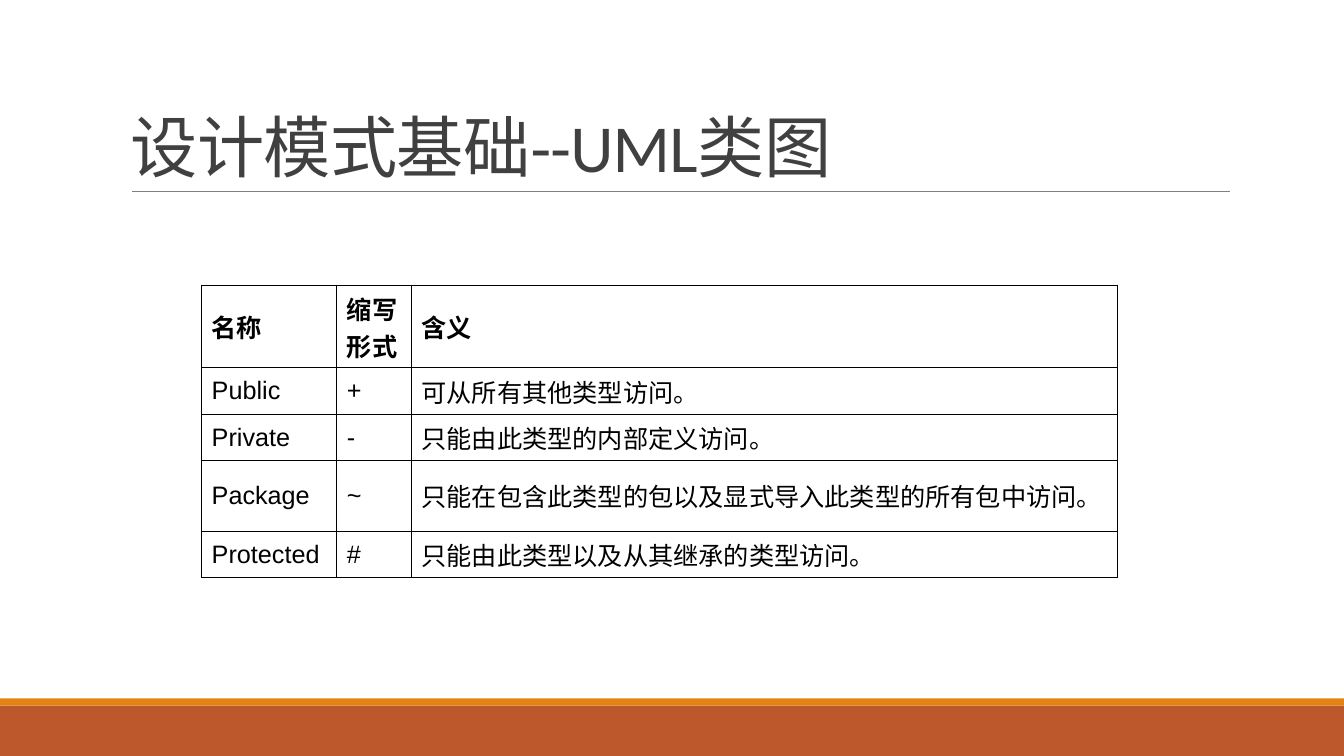
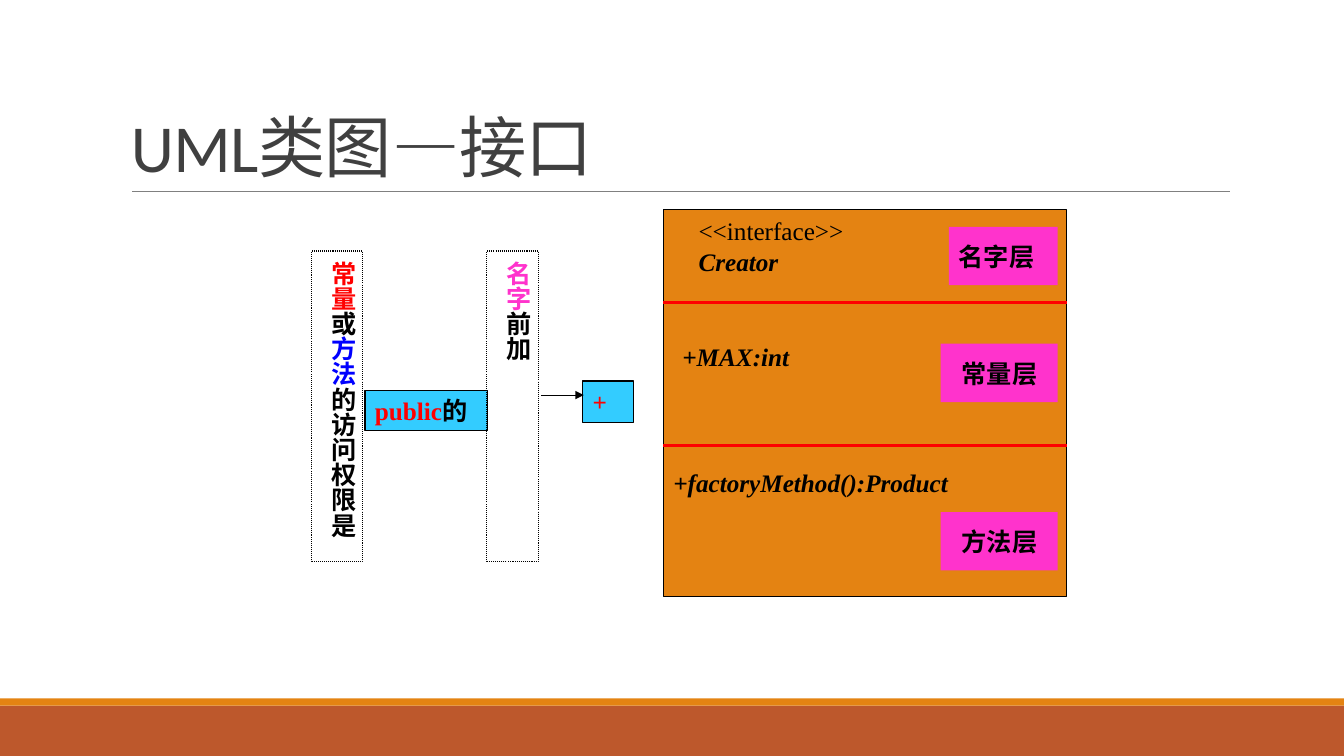
"""Build two slides on UML class diagrams."""
from dataclasses import dataclass
from typing import NamedTuple

from lxml.etree import SubElement
from pptx import Presentation
from pptx.dml.color import RGBColor
from pptx.enum.dml import MSO_LINE
from pptx.enum.shapes import MSO_CONNECTOR, MSO_SHAPE
from pptx.enum.text import MSO_ANCHOR, MSO_AUTO_SIZE, PP_ALIGN
from pptx.oxml.ns import qn
from pptx.slide import Slide
from pptx.table import _Cell
from pptx.text.text import Font, TextFrame
from pptx.util import Inches, Pt

HUES = {
    "black": "000000", "ink": "404040", "gray": "808080", "red": "FF0000",
    "blue": "0000FF", "pink": "FF33CC", "sky": "33CCFF",
    "gold": "E48312", "rust": "BD582C",
}
TIMES, CABIN, ARIAL, PLAIN = "Times New Roman", "Cabin", "Arial", "Calibri"


class Run(NamedTuple):
    text: str
    hue: str = ""
    face: str = ""


class Line(NamedTuple):
    runs: tuple[Run, ...]
    face: str = TIMES
    hue: str = "black"
    size: int = 18
    bold: bool = True
    slant: bool = False
    indent: float = 0
    space: float = 1
    track: int = 0


@dataclass
class Box:
    left: float
    top: float
    width: float
    height: float
    lines: tuple[Line, ...] = ()
    fill: str = ""
    edge: str = ""
    upright: bool = False
    wrap: bool = True
    grow: bool = False
    anchor: MSO_ANCHOR = MSO_ANCHOR.TOP


@dataclass
class Rule:
    start: tuple[float, float]
    end: tuple[float, float]
    hue: str
    weight: float
    arrow: bool = False


BANDS = (
    Box(0, 7, 13.33, 0.5, fill="rust"),
    Box(0, 6.93, 13.33, 0.07, fill="gold"),
)
WIDTHS = (1.34, 0.74, 7)
HEIGHTS = (0.82, 0.46, 0.46, 0.7, 0.46)
ROWS = (
    ("名称", "缩写形式", "含义"),
    ("Public", "+", "可从所有其他类型访问。"),
    ("Private", "-", "只能由此类型的内部定义访问。"),
    ("Package", "~", "只能在包含此类型的包以及显式导入此类型的所有包中访问。"),
    ("Protected", "#", "只能由此类型以及从其继承的类型访问。"),
)


def color(hue: str) -> RGBColor:
    """Look up a named colour."""
    return RGBColor.from_string(HUES[hue])


def tint(font: Font, hue: str, face: str) -> None:
    """Set the colour and typeface that are given."""
    if hue:
        font.color.rgb = color(hue)
    if face:
        font.name = face


def write(frame: TextFrame, lines: tuple[Line, ...]) -> None:
    """Fill a text frame with styled lines."""
    for spot, line in enumerate(lines):
        para = frame.add_paragraph() if spot else frame.paragraphs[0]
        para.alignment = PP_ALIGN.LEFT
        para.line_spacing = line.space
        font = para.font
        font.size, font.bold, font.italic = Pt(line.size), line.bold, line.slant
        tint(font, line.hue, line.face)
        props = para._p.get_or_add_pPr()
        if line.indent:
            props.set("indent", str(Inches(line.indent)))
        if line.track:
            props.find(qn("a:defRPr")).set("spc", str(line.track))
        for part in line.runs:
            run = para.add_run()
            run.text = part.text
            tint(run.font, part.hue, part.face)


def draw(slide: Slide, box: Box) -> None:
    """Draw a box with its text."""
    area = [Inches(n) for n in (box.left, box.top, box.width, box.height)]
    if box.fill or box.edge:
        shape = slide.shapes.add_shape(MSO_SHAPE.RECTANGLE, *area)
        shape.shadow.inherit = False
    else:
        shape = slide.shapes.add_textbox(*area)
    if box.fill:
        shape.fill.solid()
        shape.fill.fore_color.rgb = color(box.fill)
    else:
        shape.fill.background()
    if box.edge:
        shape.line.color.rgb = color(box.edge)
        shape.line.width = Pt(0.75)
    else:
        shape.line.fill.background()
    frame = shape.text_frame
    frame.word_wrap = box.wrap
    frame.vertical_anchor = box.anchor
    if box.grow:
        frame.auto_size = MSO_AUTO_SIZE.SHAPE_TO_FIT_TEXT
    if box.upright:
        shape.line.dash_style = MSO_LINE.ROUND_DOT
        frame._txBody.bodyPr.set("vert", "eaVert")
    write(frame, box.lines)


def link(slide: Slide, rule: Rule) -> None:
    """Draw a straight line or arrow."""
    ends = [Inches(n) for n in (*rule.start, *rule.end)]
    wire = slide.shapes.add_connector(MSO_CONNECTOR.STRAIGHT, *ends)
    wire.line.color.rgb = color(rule.hue)
    wire.line.width = Pt(rule.weight)
    if rule.arrow:
        SubElement(wire.line._get_or_add_ln(), qn("a:tailEnd"), type="triangle")
    SubElement(wire._element.spPr, qn("a:effectLst"))


def frame_cell(cell: _Cell) -> None:
    """Give a cell thin black borders and no fill."""
    props = cell._tc.get_or_add_tcPr()
    for side in ("lnL", "lnR", "lnT", "lnB"):
        edge = SubElement(props, qn(f"a:{side}"), w=str(Pt(1)))
        fill = SubElement(edge, qn("a:solidFill"))
        SubElement(fill, qn("a:srgbClr"), val=HUES["black"])
    cell.fill.background()


def grid(slide: Slide) -> None:
    """Draw the table of access marks."""
    area = [Inches(n) for n in (2, 2.83, sum(WIDTHS), sum(HEIGHTS))]
    table = slide.shapes.add_table(len(ROWS), len(WIDTHS), *area).table
    table.first_row = table.horz_banding = False
    for col, width in zip(table.columns, WIDTHS):
        col.width = Inches(width)
    for top, (row, height) in enumerate(zip(ROWS, HEIGHTS)):
        table.rows[top].height = Inches(height)
        for left, text in enumerate(row):
            cell = table.cell(top, left)
            cell.vertical_anchor = MSO_ANCHOR.MIDDLE
            frame_cell(cell)
            write(cell.text_frame, (Line((Run(text),), ARIAL, bold=top == 0),))


def begin(deck: Presentation, *title: Run) -> Slide:
    """Add a slide with the shared bands, rule and title."""
    slide = deck.slides.add_slide(deck.slide_layouts[6])
    for band in BANDS:
        draw(slide, band)
    link(slide, Rule((1.31, 1.9), (12.2, 1.9), "gray", 0.5))
    line = Line(title, PLAIN, "ink", 48, False, space=0.85, track=-50)
    draw(slide, Box(1.2, 0.31, 11, 1.59, (line,), anchor=MSO_ANCHOR.BOTTOM))
    return slide


def label(left: float, top: float, width: float, height: float, fill: str,
          line: Line, edge: str = "") -> Box:
    """Make a filled box with one line that does not wrap."""
    return Box(left, top, width, height, (line,), fill, edge,
               wrap=False, anchor=MSO_ANCHOR.MIDDLE)


def note(left: float, top: float, width: float, height: float,
         *lines: Line) -> Box:
    """Make a plain text box."""
    return Box(left, top, width, height, lines, grow=True)


def strip(left: float, *runs: Run) -> Box:
    """Make a dotted box of upright text."""
    return Box(left, 2.49, 0.51, 3.08, (Line(runs, CABIN),), edge="black",
               upright=True, grow=True)


def chart_class(slide: Slide) -> None:
    """Draw the interface with its three layers."""
    draw(slide, Box(6.58, 2.08, 4, 3.84, fill="gold", edge="black"))
    for top in (3, 4.42):
        link(slide, Rule((6.58, top), (10.58, top), "red", 2.25))
    kind = Line((Run("<<interface>>"),), bold=False)
    name, field, method = (
        Line((Run(text),), slant=True)
        for text in ("Creator", "+MAX:int", "+factoryMethod():Product")
    )
    draw(slide, note(6.83, 2.09, 2.92, 0.71, kind, name))
    draw(slide, note(6.67, 3.34, 2.67, 0.4, field))
    draw(slide, note(6.58, 4.59, 3.83, 0.4, method))
    for text, left, top, indent in (
        ("名字层", 9.41, 2.25, 0),
        ("常量层", 9.33, 3.41, 0.11),
        ("方法层", 9.33, 5.08, 0.11),
    ):
        line = Line((Run(text),), CABIN, indent=indent)
        draw(slide, label(left, top, 10.49 - left, 0.58, "pink", line))


def chart_access(slide: Slide) -> None:
    """Draw the access rule that leads to the plus sign."""
    plus = Line((Run("+"),), hue="red")
    public = Line((Run("public", "red"), Run("的", face=CABIN)))
    for box in (
        label(5.78, 3.78, 0.5, 0.41, "sky", plus, "black"),
        label(3.62, 3.87, 1.22, 0.4, "sky", public, "black"),
        strip(3.09, Run("常量", "red"), Run("或"), Run("方法", "blue"),
              Run("的访问权限是")),
        strip(4.83, Run("名字", "pink"), Run("前加")),
    ):
        draw(slide, box)
    link(slide, Rule((5.37, 3.92), (5.79, 3.92), "black", 0.75, True))


def main() -> None:
    """Build and save the deck."""
    deck = Presentation()
    deck.slide_width, deck.slide_height = Inches(13.33), Inches(7.5)
    grid(begin(deck, Run("设计模式基础--UML类图")))
    slide = begin(deck, Run("UML类图"), Run("—", face=ARIAL), Run("接口"))
    chart_class(slide)
    chart_access(slide)
    deck.save("out.pptx")


if __name__ == "__main__":
    main()
